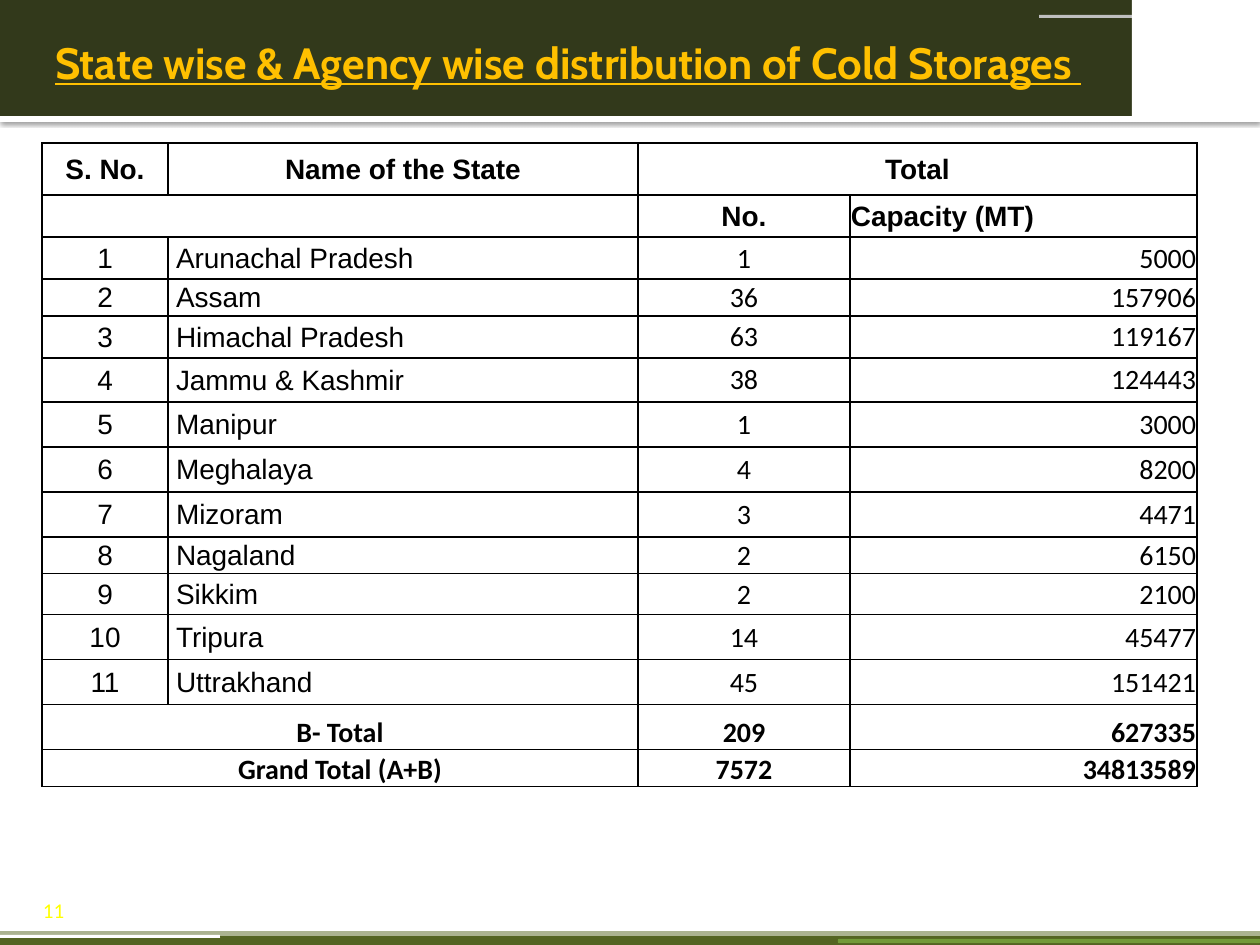
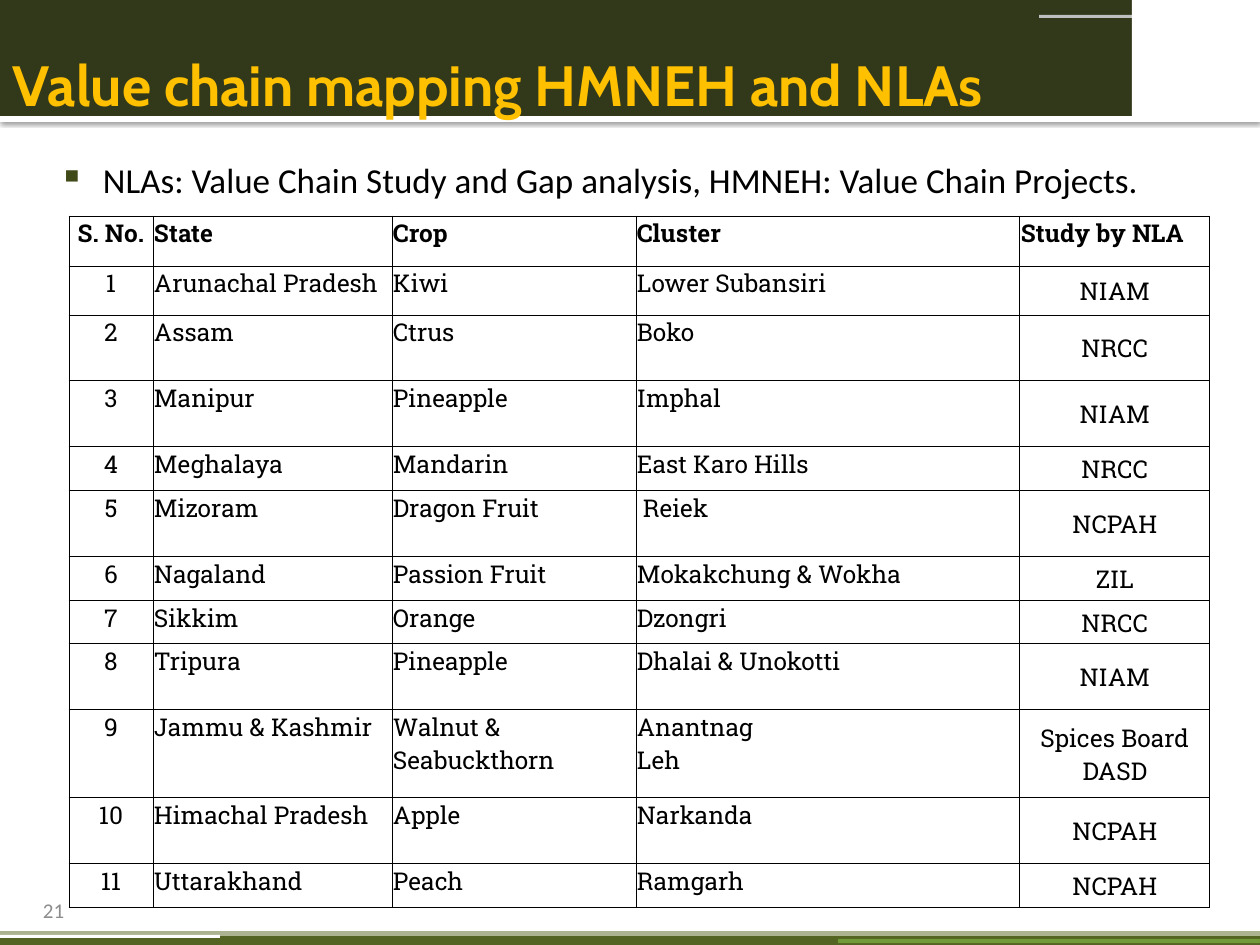
from lxml import etree
from pptx import Presentation
from pptx.dml.color import RGBColor
from pptx.enum.shapes import MSO_SHAPE
from pptx.enum.text import MSO_ANCHOR, PP_ALIGN
from pptx.oxml import parse_xml
from pptx.oxml.ns import nsdecls, qn
from pptx.util import Pt

RECT, ROUND = MSO_SHAPE.RECTANGLE, MSO_SHAPE.ROUNDED_RECTANGLE
TOP, MID, LOW = MSO_ANCHOR.TOP, MSO_ANCHOR.MIDDLE, MSO_ANCHOR.BOTTOM
LEFT, MIDDLE, RIGHT, FULL = (PP_ALIGN.LEFT, PP_ALIGN.CENTER,
                             PP_ALIGN.RIGHT, PP_ALIGN.JUSTIFY)

WHITE = RGBColor(0xFF, 0xFF, 0xFF)
BLACK = RGBColor(0x00, 0x00, 0x00)
DARK = RGBColor(0x32, 0x39, 0x1B)
OLIVE = RGBColor(0x54, 0x64, 0x22)
MOSS = RGBColor(0x59, 0x69, 0x22)
LIME = RGBColor(0x92, 0xD0, 0x50)
SILVER = RGBColor(0xBF, 0xBF, 0xBF)
GOLD = RGBColor(0xFF, 0xC0, 0x00)
YELLOW = RGBColor(0xFF, 0xFF, 0x00)
GREY = RGBColor(0x8C, 0x8C, 0x8C)
BULLET = RGBColor(0x3F, 0x4A, 0x18)

SANS, BODY, HEAD, SLAB = "Arial", "Calibri", "Cabin", "Roboto Slab"
WIDE, HIGH = 1260, 945
TITLE_PAD = (13, 6, 6, 6)
CELL_PAD = (1, 1, 1, 0)

STORES = [
    ("Arunachal Pradesh", 1, 5000),
    ("Assam", 36, 157906),
    ("Himachal Pradesh", 63, 119167),
    ("Jammu & Kashmir", 38, 124443),
    ("Manipur", 1, 3000),
    ("Meghalaya", 4, 8200),
    ("Mizoram", 3, 4471),
    ("Nagaland", 2, 6150),
    ("Sikkim", 2, 2100),
    ("Tripura", 14, 45477),
    ("Uttrakhand", 45, 151421),
]
SUMS = [("B- Total", 209, 627335), ("Grand Total (A+B)", 7572, 34813589)]
STORE_COLS = [126, 470, 212, 347]
STORE_ROWS = [52, 42, 42, 37, 42, 44, 45, 45, 45, 37, 41, 45, 45, 45, 37]

CHAIN_HEAD = ("S. No.", "State", "Crop", "Cluster", "Study by NLA")
CHAINS = [
    ("Arunachal Pradesh", "Kiwi", "Lower Subansiri", "NIAM"),
    ("Assam", "Ctrus", "Boko", "NRCC"),
    ("Manipur", "Pineapple", "Imphal", "NIAM"),
    ("Meghalaya", "Mandarin", "East Karo Hills", "NRCC"),
    ("Mizoram", "Dragon Fruit", " Reiek", "NCPAH"),
    ("Nagaland", "Passion Fruit", "Mokakchung & Wokha", "ZIL"),
    ("Sikkim", "Orange", "Dzongri", "NRCC"),
    ("Tripura", "Pineapple", "Dhalai & Unokotti", "NIAM"),
    ("Jammu & Kashmir", "Walnut & Seabuckthorn", "Anantnag\nLeh",
     "Spices Board\nDASD"),
    ("Himachal Pradesh", "Apple", "Narkanda", "NCPAH"),
    ("Uttarakhand", "Peach", "Ramgarh", "NCPAH"),
]
CHAIN_COLS = [84, 239, 244, 384, 190]
CHAIN_ROWS = [50, 49, 66, 66, 44, 66, 44, 43, 66, 88, 66, 44]


def px(n):
    return round(n * 914400 / 126)


def write(frame, text, font=BODY, size=16, color=BLACK, bold=False,
          under=False, align=LEFT, lead=None, before=None):
    """Fill a text frame, one paragraph for each line of text."""
    for i, line in enumerate(text.split("\n")):
        para = frame.add_paragraph() if i else frame.paragraphs[0]
        para.alignment = align
        if lead:
            para.line_spacing = lead
        if before:
            para.space_before = Pt(before)
        run = para.add_run()
        run.text = line
        face = run.font
        face.name, face.size, face.bold = font, Pt(size), bold
        face.underline = under
        face.color.rgb = color


def inset(item, pad):
    (item.margin_left, item.margin_top,
     item.margin_right, item.margin_bottom) = map(px, pad)


def label(slide, box, text, pad, anchor=MID, wrap=True, **style):
    frame = slide.shapes.add_textbox(*map(px, box)).text_frame
    frame.word_wrap, frame.vertical_anchor = wrap, anchor
    inset(frame, pad)
    write(frame, text, **style)
    return frame


def bar(slide, box, color, kind=RECT, alpha=None):
    shape = slide.shapes.add_shape(kind, *map(px, box))
    shape.shadow.inherit = False
    shape.fill.solid()
    shape.fill.fore_color.rgb = color
    shape.line.fill.background()
    if alpha:
        tone = shape.fill._xPr.find(".//" + qn("a:srgbClr"))
        etree.SubElement(tone, qn("a:alpha"), val=str(alpha * 1000))
    return shape


def shade(shape):
    """Cast a soft shadow straight down."""
    shape._element.spPr.find(qn("a:effectLst")).append(parse_xml(
        f'<a:outerShdw {nsdecls("a")} blurRad="{Pt(2.5)}" dist="{Pt(0.8)}" '
        f'dir="5400000"><a:srgbClr val="{BLACK}"><a:alpha val="60000"/>'
        '</a:srgbClr></a:outerShdw>'))


def bands(slide):
    # Header
    shade(bar(slide, (0, 116, WIDE, 6), WHITE))
    bar(slide, (0, 0, WIDE, 116), DARK)
    # Footer
    bar(slide, (0, 936, WIDE, 9), OLIVE)
    bar(slide, (838, 939, 422, 4), LIME, ROUND, alpha=50)
    # Header accent, footer edge and white corner
    bar(slide, (1039, 15, 221, 3), SILVER, ROUND)
    bar(slide, (0, 931, WIDE, 5), MOSS, alpha=50)
    bar(slide, (1132, 0, 128, 117), WHITE)
    bar(slide, (0, 935, 220, 3), WHITE, ROUND)


def title(slide, box, text, **style):
    label(slide, box, text, TITLE_PAD, font=HEAD, color=GOLD, bold=True,
          **style)


def number(slide, text, color):
    label(slide, (38, 898, 101, 25), text, (5, 0, 5, 0), anchor=LOW,
          wrap=False, size=12, color=color)


def grid(slide, spot, cols, rows, line):
    """Add an empty table whose cells have black edges and no fill."""
    frame = slide.shapes.add_table(len(rows), len(cols), *map(
        px, (*spot, sum(cols), sum(rows))))
    table = frame.table
    table.first_row = table.horz_banding = False
    for col, wide in zip(table.columns, cols):
        col.width = px(wide)
    for row, high in zip(table.rows, rows):
        row.height = px(high)
    for cell in table.iter_cells():
        props = cell._tc.get_or_add_tcPr()
        for side in "LRTB":
            props.append(parse_xml(
                f'<a:ln{side} {nsdecls("a")} w="{Pt(line)}"><a:solidFill>'
                f'<a:srgbClr val="{BLACK}"/></a:solidFill></a:ln{side}>'))
        cell.fill.background()
        inset(cell, CELL_PAD)
    return table


def put(cell, text, anchor=MID, **style):
    cell.vertical_anchor = anchor
    write(cell.text_frame, str(text), **style)


def stores(slide, spot):
    table = grid(slide, spot, STORE_COLS, STORE_ROWS, 1)
    first = len(STORES) + 2
    # Heading rows
    head = dict(font=SANS, bold=True)
    for col, text in enumerate(("S. No.", "Name of the State", "Total", "")):
        put(table.cell(0, col), text, align=MIDDLE, **head)
    for col, text in enumerate(("", "", "No.", "Capacity (MT)")):
        put(table.cell(1, col), text, align=LEFT if col == 3 else MIDDLE,
            **head)
    # States
    for row, (state, count, load) in enumerate(STORES, 2):
        put(table.cell(row, 0), row - 1, font=SANS, align=MIDDLE)
        put(table.cell(row, 1), state, font=SANS)
        table.cell(row, 1).margin_left = px(8)
        put(table.cell(row, 2), count, align=MIDDLE)
        put(table.cell(row, 3), load, align=RIGHT)
    # Totals
    for row, (name, count, load) in enumerate(SUMS, first):
        for col, text in enumerate((name, "", count, load)):
            put(table.cell(row, col), text, LOW, bold=True,
                align=RIGHT if col == 3 else MIDDLE)
    # Joined cells
    table.cell(0, 2).merge(table.cell(0, 3))
    for row in (1, first, first + 1):
        table.cell(row, 0).merge(table.cell(row, 1))


def chains(slide, spot):
    table = grid(slide, spot, CHAIN_COLS, CHAIN_ROWS, 0.5)
    lines = [CHAIN_HEAD] + [(i, *row) for i, row in enumerate(CHAINS, 1)]
    for row, line in enumerate(lines):
        for col, text in enumerate(line):
            study = row > 0 and col == 4
            put(table.cell(row, col), text, MID if study else TOP,
                font=SLAB, size=14, bold=row == 0,
                align=MIDDLE if study or col == 0 else LEFT)


def point(slide, box, text):
    frame = label(slide, box, text, (8, 13, 13, 6), anchor=TOP, size=20,
                  align=FULL, lead=1.5, before=7.8)
    props = frame.paragraphs[0]._p.get_or_add_pPr()
    props.set("marL", str(px(60)))
    props.set("indent", str(px(-44)))
    tone = etree.SubElement(props, qn("a:buClr"))
    etree.SubElement(tone, qn("a:srgbClr"), val=str(BULLET))
    etree.SubElement(props, qn("a:buChar"), char="▪")


def main():
    deck = Presentation()
    deck.slide_width, deck.slide_height = px(WIDE), px(HIGH)
    blank = deck.slide_layouts[6]

    # Cold storages
    slide = deck.slides.add_slide(blank)
    bands(slide)
    stores(slide, (42, 143))
    number(slide, "11", YELLOW)
    title(slide, (42, 22, 1176, 80),
          "State wise & Agency wise distribution of Cold Storages ",
          size=25, under=True)

    # Value chains
    slide = deck.slides.add_slide(blank)
    bands(slide)
    point(slide, (35, 125, 1200, 758),
          "NLAs: Value Chain Study and Gap analysis, "
          "HMNEH: Value Chain Projects.")
    title(slide, (0, 22, 1218, 89), "Value chain mapping HMNEH and NLAs",
          size=32.4, lead=1.5)
    number(slide, "21", GREY)
    chains(slide, (69, 216))

    deck.save("out.pptx")


if __name__ == "__main__":
    main()
